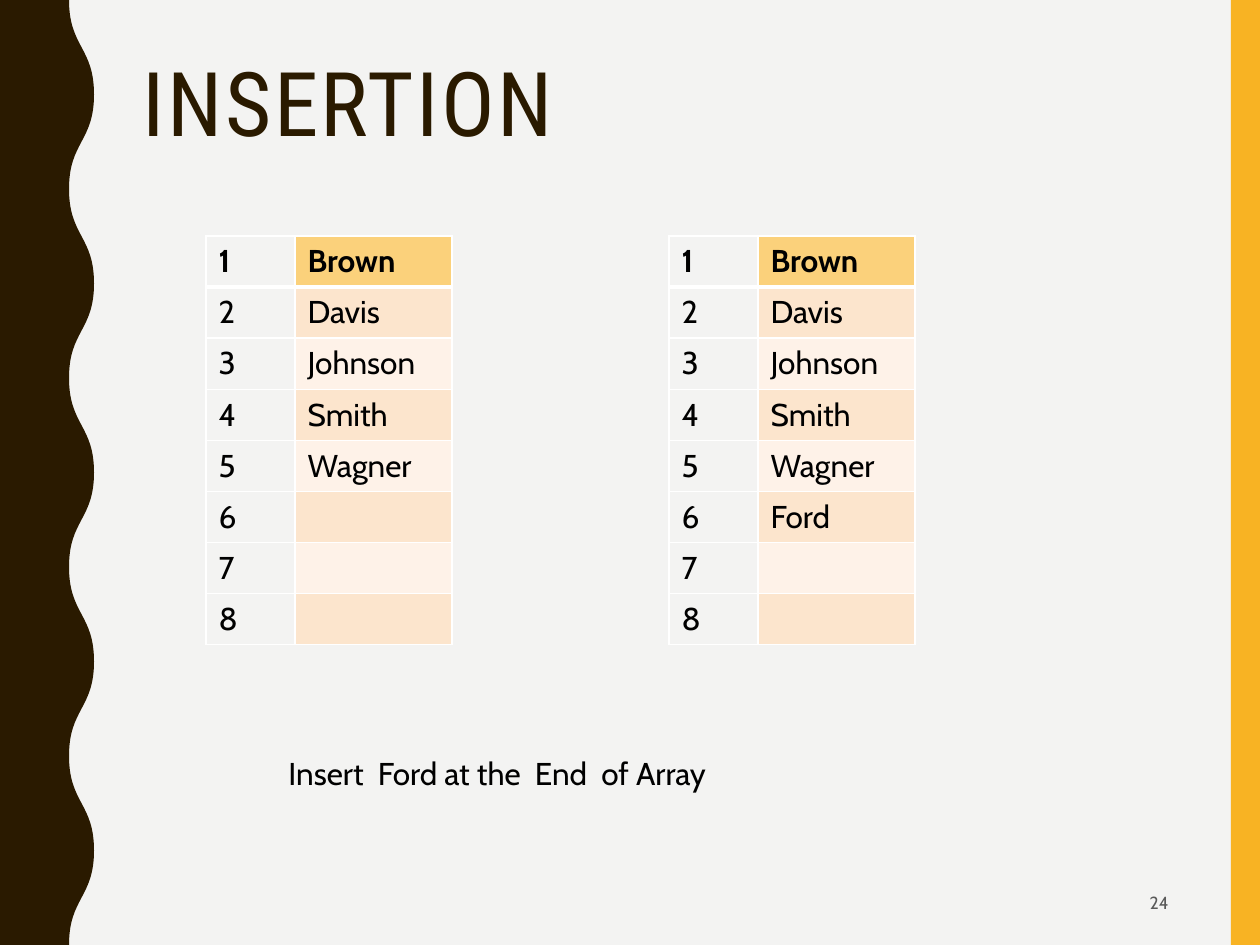
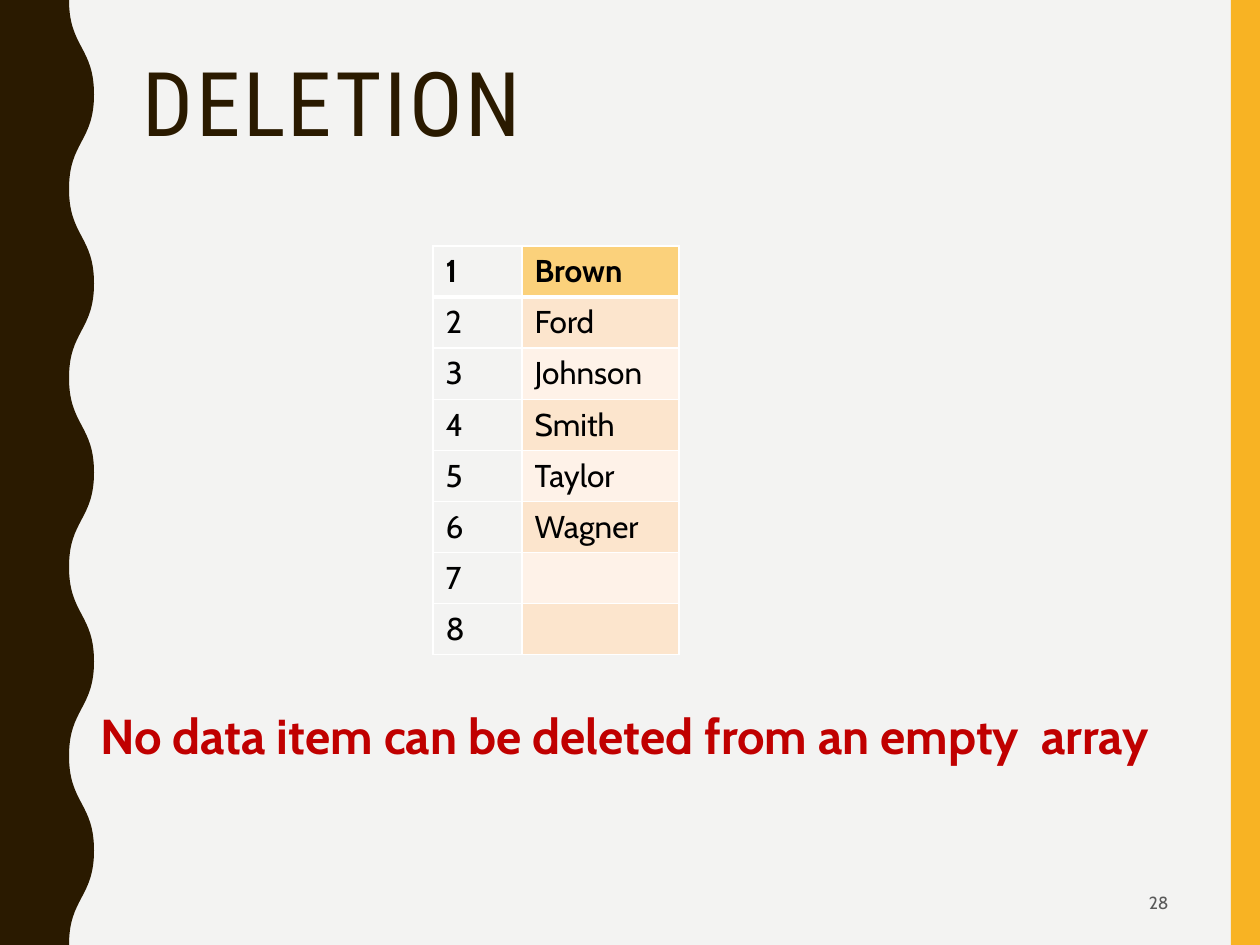
from lxml import etree
from pptx import Presentation, util as u
from pptx.dml.color import RGBColor
from pptx.enum import shapes, text
from pptx.oxml.ns import qn

COLOURS = {
    "paper": "F3F3F2", "bark": "2A1A00", "amber": "F8B323", "head": "FBD17B",
    "odd": "FCE5CD", "even": "FEF2E8", "rule": "FFFFFF", "ink": "000000",
    "grey": "595959", "warning": "C00000",
}
SLIDES = [
    {
        "title": "INSERTION",
        "number": "24",
        "arrays": [
            ((206, 236), ["Brown", "Davis", "Johnson", "Smith", "Wagner", "", "", ""]),
            ((669, 236), ["Brown", "Davis", "Johnson", "Smith", "Wagner", "Ford", "", ""]),
        ],
        "note": ("Insert  Ford at the  End  of Array", (276, 748, 709, 50), "note"),
    },
    {
        "title": "DELETION",
        "number": "28",
        "arrays": [
            ((433, 246), ["Brown", "Ford", "Johnson", "Smith", "Taylor", "Wagner", "", ""]),
        ],
        "note": ("No data item can be deleted from an empty  array", (88, 699, 1123, 131), "warning"),
    },
]
FONTS = {
    "title": ({"name": "Roboto Condensed", "size": u.Pt(51), "bold": False}, "bark"),
    "head": ({"name": "Cabin", "size": u.Pt(18), "bold": True}, "ink"),
    "note": ({"name": "Cabin", "size": u.Pt(18), "bold": False}, "ink"),
    "warning": ({"name": "Cabin", "size": u.Pt(28), "bold": True}, "warning"),
    "number": ({"name": "Cabin", "size": u.Pt(10), "bold": False}, "grey"),
}
WIDTH, HEIGHT = 1260, 945
TITLE_BOX = (130, 53, 1052, 205)
NUMBER_BOX = (890, 879, 291, 48)
BAND_LEFT = 1231
WAVE_IN, WAVE_OUT, HALF_WAVES = 69, 94, 10
COLUMNS, ARRAY_HEIGHT = (89, 157), 409
THIN, THICK = u.Pt(1), u.Pt(3)


def px(*lengths):
    return [round(length * 914400 / 126) for length in lengths]


def rgb(colour):
    return RGBColor.from_string(COLOURS[colour])


def paint(shape, colour):
    shape.fill.solid()
    shape.fill.fore_color.rgb = rgb(colour)
    shape.line.fill.background()
    shape.shadow.inherit = False


def write(frame, words, style, **settings):
    for key, value in settings.items():
        setattr(frame, key, value)
    run = frame.paragraphs[0].add_run()
    run.text = words
    values, colour = FONTS[style]
    for key, value in values.items():
        setattr(run.font, key, value)
    run.font.color.rgb = rgb(colour)
    return run


def add_text(slide, box, words, style, **settings):
    frame = slide.shapes.add_textbox(*px(*box)).text_frame
    write(frame, words, style, word_wrap=True, **settings)
    return frame.paragraphs[0]


def add_wave(slide):
    turns = [px(WAVE_OUT if turn % 2 else WAVE_IN, turn * HEIGHT / HALF_WAVES)
             for turn in range(HALF_WAVES + 1)]
    outline = slide.shapes.build_freeform(0, 0)
    outline.add_line_segments([*turns, px(0, HEIGHT)], close=True)
    wave = outline.convert_to_shape()
    sides = list(wave._element.iter(qn("a:lnTo")))[1:-1]
    for side, start, end in zip(sides, turns, turns[1:]):
        middle = (start[1] + end[1]) // 2
        side.tag = qn("a:cubicBezTo")
        for order, across in enumerate((start[0], end[0])):
            side.insert(order, etree.Element(qn("a:pt"), x=str(across), y=str(middle)))
    return wave


def decorate(layout, slide):
    band = slide.shapes.add_shape(
        shapes.MSO_SHAPE.RECTANGLE, *px(BAND_LEFT, 0, WIDTH - BAND_LEFT, HEIGHT))
    paint(band, "amber")
    wave = add_wave(slide)
    paint(wave, "bark")
    for shape in (wave, band):
        layout.shapes._spTree.insert(2, shape._element)


def add_borders(cell, row):
    widths = {
        "lnL": THIN, "lnR": THIN,
        "lnT": THICK if row == 1 else THIN,
        "lnB": THICK if row == 0 else THIN,
    }
    properties = cell._tc.get_or_add_tcPr()
    for side, width in widths.items():
        line = etree.SubElement(properties, qn(f"a:{side}"), w=str(width))
        fill = etree.SubElement(line, qn("a:solidFill"))
        etree.SubElement(fill, qn("a:srgbClr"), val=COLOURS["rule"])


def add_array(slide, corner, names):
    size = (sum(COLUMNS), ARRAY_HEIGHT)
    array = slide.shapes.add_table(len(names), len(COLUMNS), *px(*corner, *size)).table
    array.horz_banding = False
    for column, width in zip(array.columns, px(*COLUMNS)):
        column.width = width
    for row, name in enumerate(names):
        index, value = array.cell(row, 0), array.cell(row, 1)
        for cell, words in ((index, str(row + 1)), (value, name)):
            add_borders(cell, row)
            if words:
                write(cell.text_frame, words, "note" if row else "head")
        index.fill.background()
        value.fill.solid()
        value.fill.fore_color.rgb = rgb("head" if row == 0 else "odd" if row % 2 else "even")


def add_title(slide, words):
    title = slide.shapes.title
    for side, length in zip(("left", "top", "width", "height"), px(*TITLE_BOX)):
        setattr(title, side, length)
    run = write(title.text_frame, words, "title", word_wrap=True,
                auto_size=text.MSO_AUTO_SIZE.NONE, vertical_anchor=text.MSO_ANCHOR.TOP)
    run.font._element.set("spc", "150")
    heading = title.text_frame.paragraphs[0]
    heading.alignment = text.PP_ALIGN.LEFT
    heading.line_spacing = 0.9


def main():
    deck = Presentation()
    deck.slide_width, deck.slide_height = px(WIDTH, HEIGHT)
    layout = deck.slide_layouts[5]
    backdrop = deck.slide_master.background.fill
    backdrop.solid()
    backdrop.fore_color.rgb = rgb("paper")
    for position, content in enumerate(SLIDES):
        slide = deck.slides.add_slide(layout)
        if position == 0:
            decorate(layout, slide)
        add_title(slide, content["title"])
        for corner, names in content["arrays"]:
            add_array(slide, corner, names)
        words, box, style = content["note"]
        add_text(slide, box, words, style)
        number = add_text(slide, NUMBER_BOX, content["number"], "number",
                          vertical_anchor=text.MSO_ANCHOR.MIDDLE)
        number.alignment = text.PP_ALIGN.RIGHT
    deck.save("out.pptx")


if __name__ == "__main__":
    main()
